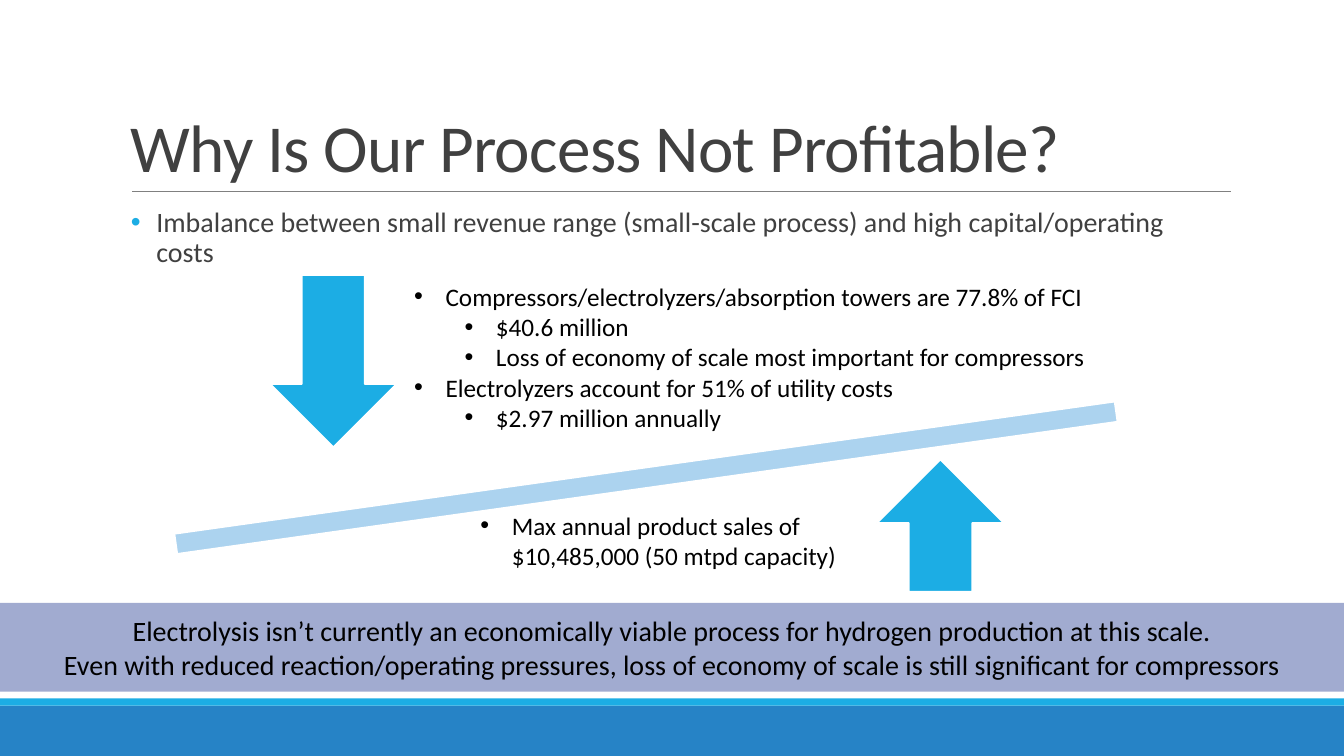
from lxml import etree
from pptx import Presentation, util as u
from pptx.dml.color import RGBColor
from pptx.enum import shapes, text
from pptx.oxml.ns import qn

CYAN = RGBColor(0x1C, 0xAD, 0xE4)
BLUE = RGBColor(0x26, 0x83, 0xC6)
PALE = RGBColor(0xAC, 0xD3, 0xEF)
LILAC = RGBColor(0xA1, 0xAB, 0xD0)
GRAY = RGBColor(0x80, 0x80, 0x80)
DARK = RGBColor(0x40, 0x40, 0x40)
BLACK = RGBColor(0, 0, 0)
WHITE = RGBColor(255, 255, 255)

WIDE, HIGH = 33.87, 19.05
LEFT, SPAN = 3.05, 27.94
RULE = 4.83
KIND = shapes.MSO_SHAPE

TITLE = [(0, "Why Is Our Process Not Profitable?")]
LEAD = [(0, "Imbalance between small revenue range (small-scale process) and high capital/operating costs")]
SALES = [(0, "Max annual product sales of $10,485,000 (50 mtpd capacity)")]
COSTS = [
    (0, "Compressors/electrolyzers/absorption towers are 77.8% of FCI"),
    (1, "$40.6 million"),
    (1, "Loss of economy of scale most important for compressors"),
    (0, "Electrolyzers account for 51% of utility costs"),
    (1, "$2.97 million annually"),
]
CLOSE = [
    (0, "Electrolysis isn’t currently an economically viable process for hydrogen production at this scale."),
    (0, "Even with reduced reaction/operating pressures, loss of economy of scale is still significant for compressors"),
]

BARS = [
    (KIND.RECTANGLE, (0, 17.78, WIDE, 1.27), BLUE, None, 0),
    (KIND.RECTANGLE, (0, 17.6, WIDE, 0.18), CYAN, None, 0),
]
SCALE = [
    (KIND.MATH_MINUS, (0, 10.95, 32.56, 2.18), PALE, WHITE, -8),
    (KIND.DOWN_ARROW, (6.81, 6.93, 3.18, 4.34), CYAN, WHITE, 0),
    (KIND.UP_ARROW, (22.1, 11.58, 3.2, 3.33), CYAN, WHITE, 0),
]
BAND = (KIND.RECTANGLE, (0, 15.19, WIDE, 2.24), LILAC, None, 0)

BOXES = [
    (TITLE, (LEFT, 0.79, SPAN, 4.04), text.MSO_ANCHOR.BOTTOM,
     {"size": u.Pt(48), "color": DARK}, {"line_spacing": 0.85}, None),
    (LEAD, (LEFT, 5.13, SPAN, 11.18), text.MSO_ANCHOR.TOP,
     {"size": u.Pt(20), "color": DARK}, {"line_spacing": 0.9, "space_after": u.Pt(2)}, (0.64, CYAN)),
    (SALES, (11.86, 12.73, 11.2, 1.8), text.MSO_ANCHOR.TOP,
     {"size": u.Pt(18), "color": BLACK}, {}, (0.79, BLACK)),
    (COSTS, (10.19, 6.96, 18.14, 5.64), text.MSO_ANCHOR.TOP,
     {"size": u.Pt(18), "color": BLACK}, {}, (0.79, BLACK)),
]


def place(vals):
    return [u.Cm(v) for v in vals]


def draw(slide, kind, spot, fill, edge, turn):
    shape = slide.shapes.add_shape(kind, *place(spot))
    shape.shadow.inherit = False
    shape.fill.solid()
    shape.fill.fore_color.rgb = fill
    shape.rotation = turn
    if edge is None:
        shape.line.fill.background()
    else:
        shape.line.color.rgb = edge
        shape.line.width = u.Pt(1.25)
    return shape


def mark(para, level, hang, color):
    props = para._p.get_or_add_pPr()
    props.set("marL", str(u.Cm(hang + 1.27 * level)))
    props.set("indent", str(-u.Cm(hang)))
    tint = etree.SubElement(props, qn("a:buClr"))
    etree.SubElement(tint, qn("a:srgbClr"), val=str(color))
    etree.SubElement(props, qn("a:buFont"), typeface="Arial")
    etree.SubElement(props, qn("a:buChar"), char="•")


def write(frame, lines, anchor, font, form, dot=None):
    frame.word_wrap = True
    frame.vertical_anchor = anchor
    for i, (level, words) in enumerate(lines):
        para = frame.add_paragraph() if i else frame.paragraphs[0]
        para.level = level
        if dot:
            mark(para, level, *dot)
        for key, val in form.items():
            setattr(para, key, val)
        run = para.add_run()
        run.text = words
        run.font.name = "Calibri"
        run.font.size = font["size"]
        run.font.color.rgb = font["color"]
        if lines is TITLE:
            run._r.get_or_add_rPr().set("spc", "-50")


def main():
    deck = Presentation()
    deck.slide_width, deck.slide_height = place((WIDE, HIGH))
    slide = deck.slides.add_slide(deck.slide_layouts[6])
    for bar in BARS:
        draw(slide, *bar)
    rule = slide.shapes.add_connector(
        shapes.MSO_CONNECTOR.STRAIGHT, *place((3.33, RULE, 31.01, RULE)))
    rule.line.color.rgb = GRAY
    rule.line.width = u.Pt(0.5)
    etree.SubElement(rule._element.spPr, qn("a:effectLst"))
    for part in SCALE:
        draw(slide, *part)
    for lines, spot, *style in BOXES:
        write(slide.shapes.add_textbox(*place(spot)).text_frame, lines, *style)
    band = draw(slide, *BAND)
    write(band.text_frame, CLOSE, text.MSO_ANCHOR.MIDDLE,
          {"size": u.Pt(20), "color": BLACK}, {"alignment": text.PP_ALIGN.CENTER})
    deck.save("out.pptx")


if __name__ == "__main__":
    main()
